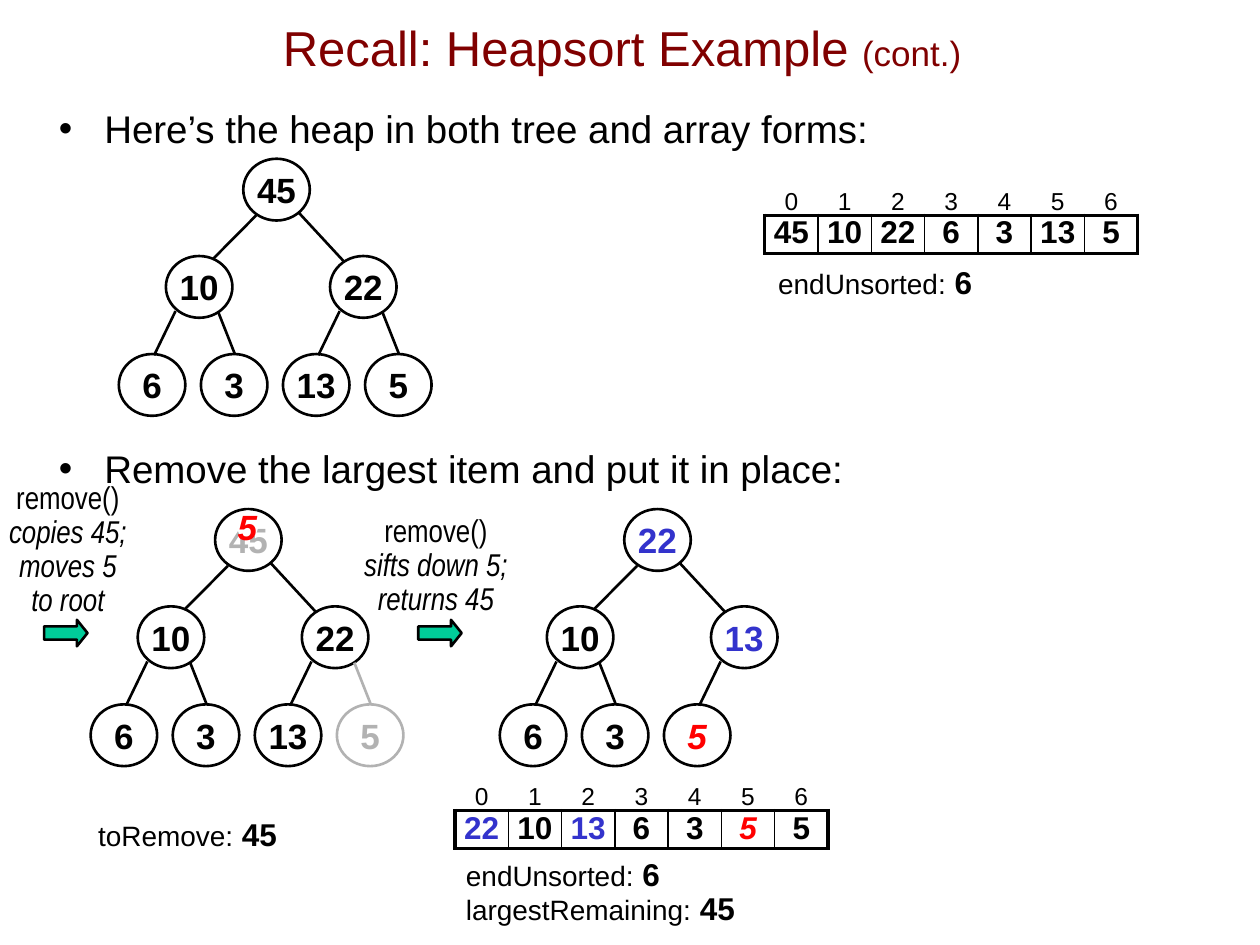
"""Build the heapsort removal slide with its heaps, arrays and notes."""
from dataclasses import dataclass
from typing import Optional, Sequence

from lxml.etree import SubElement
from pptx import Presentation
from pptx.dml.color import RGBColor as Rgb
from pptx.enum.shapes import MSO_CONNECTOR as Connector, MSO_SHAPE as Preset
from pptx.enum.text import MSO_ANCHOR as Anchor, PP_ALIGN as Align
from pptx.oxml.ns import qn
from pptx.util import Pt


@dataclass(frozen=True)
class Theme:
    font: str = "Arial"
    narrow: str = "Arial Narrow"
    black: str = "000000"
    white: str = "FFFFFF"
    title: str = "800000"
    moved: str = "3333CC"
    sifted: str = "FF0000"
    faded: str = "B2B2B2"
    arrow: str = "00CC99"
    title_size: float = 28
    bullet_size: float = 22
    node_size: float = 20
    value_size: float = 18
    label_size: float = 16
    index_size: float = 14
    line: float = 1.5
    frame: float = 2.25
    grid: float = 1


THEME = Theme()


@dataclass(frozen=True)
class Span:
    text: str
    size: float = THEME.node_size
    colour: str = THEME.black
    bold: bool = False
    italic: bool = False
    font: str = THEME.font


@dataclass(frozen=True)
class Heap:
    left: float
    top: float
    values: Sequence[Span]
    removed: Optional[int] = None


@dataclass(frozen=True)
class Array:
    left: float
    top: float
    values: Sequence[Span]


@dataclass(frozen=True)
class Note:
    left: float
    top: float
    width: float
    height: float
    lines: Sequence[Sequence[Span]]
    align: Align = Align.LEFT
    spacing: float = 1


NODE_WIDTH, NODE_HEIGHT = 38, 35.3
LEAF_PITCH = 46.9
SUBTREE_PITCH = 2 * LEAF_PITCH
NODES = [(71.1, 0), *[(26.9 + SUBTREE_PITCH * n, 55.6) for n in range(2)],
         *[(LEAF_PITCH * n, 111.6) for n in range(4)]]
EDGES = [(78.5, 32.4, 54.2, 56.9), (103, 31, 128.9, 59)]
EDGES += [(x1 + SUBTREE_PITCH * n, y1, x2 + SUBTREE_PITCH * n, y2) for n in range(2)
          for x1, y1, x2, y2 in [(32.4, 87.1, 20.2, 112.3), (56.9, 87.8, 66.3, 111.6)]]
COLUMN_WIDTH = 30.45
ROW_HEIGHTS = (19.7, 20.5)


def write(frame, lines, *, align=Align.LEFT, anchor=Anchor.TOP, spacing=1, margins=(7.2, 3.6), wrap=False):
    """Fill a text frame with lines of spans in the given format."""
    frame.word_wrap = wrap
    frame.vertical_anchor = anchor
    frame.margin_left = frame.margin_right = Pt(margins[0])
    frame.margin_top = frame.margin_bottom = Pt(margins[1])
    for number, line in enumerate(lines):
        para = frame.add_paragraph() if number else frame.paragraphs[0]
        para.alignment = align
        para.line_spacing = spacing
        for span in line:
            run = para.add_run()
            run.text = span.text
            run.font.name, run.font.size = span.font, Pt(span.size)
            run.font.bold, run.font.italic = span.bold, span.italic
            run.font.color.rgb = Rgb.from_string(span.colour)


def add_box(page, left: float, top: float, width: float, height: float, lines, **layout):
    """Add a text box and return it."""
    box = page.shapes.add_textbox(Pt(left), Pt(top), Pt(width), Pt(height))
    write(box.text_frame, lines, **layout)
    return box


def add_bullet(page, top: float, text: str) -> None:
    """Add one bulleted statement."""
    box = add_box(page, 26.6, top, 690, 34, [[Span(text, THEME.bullet_size)]], wrap=True)
    properties = box.text_frame.paragraphs[0]._p.get_or_add_pPr()
    properties.set("marL", str(Pt(26)))
    properties.set("indent", str(Pt(-26)))
    SubElement(properties, qn("a:buFont")).set("typeface", THEME.font)
    SubElement(properties, qn("a:buChar")).set("char", "•")


def add_preset(page, preset, left: float, top: float, width: float, height: float,
               fill: Optional[str] = None, outline: Optional[str] = None):
    """Add a flat preset shape and return it."""
    shape = page.shapes.add_shape(preset, Pt(left), Pt(top), Pt(width), Pt(height))
    shape.shadow.inherit = False
    for format_, colour in ((shape.fill, fill), (shape.line.fill, outline)):
        if colour:
            format_.solid()
            format_.fore_color.rgb = Rgb.from_string(colour)
        else:
            format_.background()
    if outline:
        shape.line.width = Pt(THEME.line)
    return shape


def add_node(page, left: float, top: float, value: Span, outline: Optional[str]) -> None:
    """Add a heap node with its value."""
    node = add_preset(page, Preset.OVAL, left, top, NODE_WIDTH, NODE_HEIGHT, outline=outline)
    write(node.text_frame, [[value]], align=Align.CENTER, anchor=Anchor.MIDDLE, margins=(0, 0))


def add_edge(page, start_x: float, start_y: float, end_x: float, end_y: float, colour: str) -> None:
    """Add a line from a parent to a child."""
    edge = page.shapes.add_connector(Connector.STRAIGHT, Pt(start_x), Pt(start_y), Pt(end_x), Pt(end_y))
    edge.line.color.rgb = Rgb.from_string(colour)
    edge.line.width = Pt(THEME.line)
    SubElement(edge._element.spPr, qn("a:effectLst"))


def add_heap(page, heap: Heap) -> None:
    """Draw a heap as a binary tree."""
    for number, (value, (x, y)) in enumerate(zip(heap.values, NODES)):
        colour = THEME.faded if number == heap.removed else THEME.black
        add_node(page, heap.left + x, heap.top + y, value, colour)
        if number:
            x1, y1, x2, y2 = EDGES[number - 1]
            add_edge(page, heap.left + x1, heap.top + y1, heap.left + x2, heap.top + y2, colour)


def set_borders(cell, **widths: float) -> None:
    """Set the four cell borders; a width of zero hides one."""
    properties = cell._tc.get_or_add_tcPr()
    for side in "LRTB":
        line = SubElement(properties, qn(f"a:ln{side}"))
        if widths[side]:
            line.set("w", str(Pt(widths[side])))
            SubElement(SubElement(line, qn("a:solidFill")), qn("a:srgbClr")).set("val", THEME.black)
        else:
            SubElement(line, qn("a:noFill"))


def add_array(page, array: Array) -> None:
    """Draw an array as a table of indices over values."""
    count = len(array.values)
    table = page.shapes.add_table(2, count, Pt(array.left), Pt(array.top), Pt(COLUMN_WIDTH * count),
                                  Pt(sum(ROW_HEIGHTS))).table
    table.first_row = table.horz_banding = False
    for row, height in zip(table.rows, ROW_HEIGHTS):
        row.height = Pt(height)
    for number, value in enumerate(array.values):
        table.columns[number].width = Pt(COLUMN_WIDTH)
        left = THEME.grid if number else THEME.frame
        right = THEME.grid if number < count - 1 else THEME.frame
        index, slot = table.cell(0, number), table.cell(1, number)
        set_borders(index, L=0, R=0, T=0, B=THEME.frame)
        set_borders(slot, L=left, R=right, T=THEME.frame, B=THEME.frame)
        for cell, span, anchor in ((index, Span(str(number), THEME.index_size), Anchor.BOTTOM),
                                   (slot, value, Anchor.TOP)):
            cell.fill.background()
            write(cell.text_frame, [[span]], align=Align.CENTER)
            cell.vertical_anchor = anchor
            cell.margin_left = cell.margin_right = cell.margin_top = cell.margin_bottom = 0


def values(text: str, size: float, **colours: str) -> list[Span]:
    """Make bold spans from words, coloured by position names such as at0."""
    picks = [colours.get(f"at{number}", THEME.black) for number in range(len(text.split()))]
    return [Span(word, size, colour, True, colour == THEME.sifted) for word, colour in zip(text.split(), picks)]


def variable(name: str, value: str) -> list[Span]:
    """Make the spans of a variable and its value."""
    return [Span(f"{name}:", THEME.label_size), Span(" ", THEME.value_size),
            Span(value, THEME.value_size, bold=True)]


def call(*effects: str) -> list[list[Span]]:
    """Make the lines describing what remove() does."""
    return [[Span(text, THEME.value_size, italic=number > 0, font=THEME.narrow)]
            for number, text in enumerate(("remove()", *effects))]


HEAPS = [
    Heap(67.9, 90.7, values("45 10 22 6 3 13 5", THEME.node_size)),
    Heap(51.8, 290.9, values("45 10 22 6 3 13 5", THEME.node_size, at0=THEME.faded, at6=THEME.faded), 6),
    Heap(285.6, 290.9, values("22 10 13 6 3 5", THEME.node_size, at0=THEME.moved, at2=THEME.moved,
                              at5=THEME.sifted)),
]
ARRAYS = [
    Array(437, 103.4, values("45 10 22 6 3 13 5", THEME.value_size)),
    Array(260, 443.5, values("22 10 13 6 3 5 5", THEME.value_size, at0=THEME.moved, at2=THEME.moved,
                             at5=THEME.sifted)),
]
NOTES = [
    Note(437.6, 146.8, 125.3, 29, [variable("endUnsorted", "6")]),
    Note(49, 462.3, 116.6, 29, [variable("toRemove", "45")]),
    Note(259.2, 487.5, 168.5, 46, [variable("endUnsorted", "6"), variable("largestRemaining", "45")], spacing=0.9),
    Note(-2.2, 272.2, 82, 85, call("copies 45;", "moves 5", "to root"), Align.CENTER, 0.9),
    Note(200.9, 290.9, 96.5, 65.5, call("sifts down 5;", "returns 45"), Align.CENTER, 0.9),
]


def main() -> None:
    """Assemble and save the slide."""
    deck = Presentation()
    deck.slide_width, deck.slide_height = Pt(720), Pt(540)
    page = deck.slides.add_slide(deck.slide_layouts[6])
    add_box(page, 46, -6.5, 619, 67, [[Span("Recall: Heapsort Example ", THEME.title_size, THEME.title),
                                      Span("(cont.)", THEME.node_size, THEME.title)]],
            align=Align.CENTER, anchor=Anchor.MIDDLE, wrap=True)
    add_bullet(page, 56.5, "Here’s the heap in both tree and array forms:")
    add_bullet(page, 250.8, "Remove the largest item and put it in place:")
    for heap in HEAPS:
        add_heap(page, heap)
    for array in ARRAYS:
        add_array(page, array)
    for left in (25.2, 239):
        arrow = add_preset(page, Preset.RIGHT_ARROW, left, 354.2, 24.8, 15.1, THEME.arrow, THEME.black)
        arrow.adjustments[0], arrow.adjustments[1] = 0.5, 0.4
    add_preset(page, Preset.OVAL, 135.4, 291.6, 12.2, 16.6, THEME.white)
    add_node(page, 122.4, 283, Span("5", colour=THEME.sifted, bold=True, italic=True), None)
    for note in NOTES:
        add_box(page, note.left, note.top, note.width, note.height, note.lines,
                align=note.align, spacing=note.spacing)
    deck.save("out.pptx")


if __name__ == "__main__":
    main()
